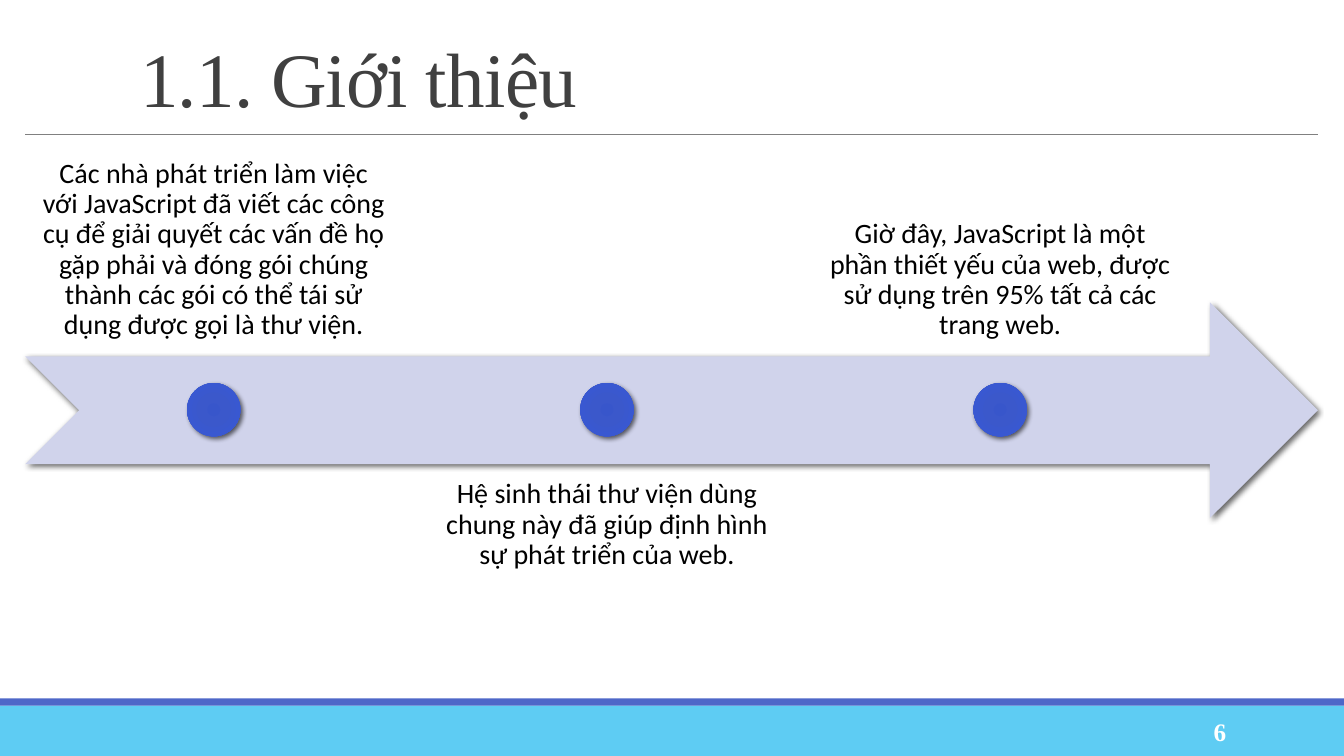
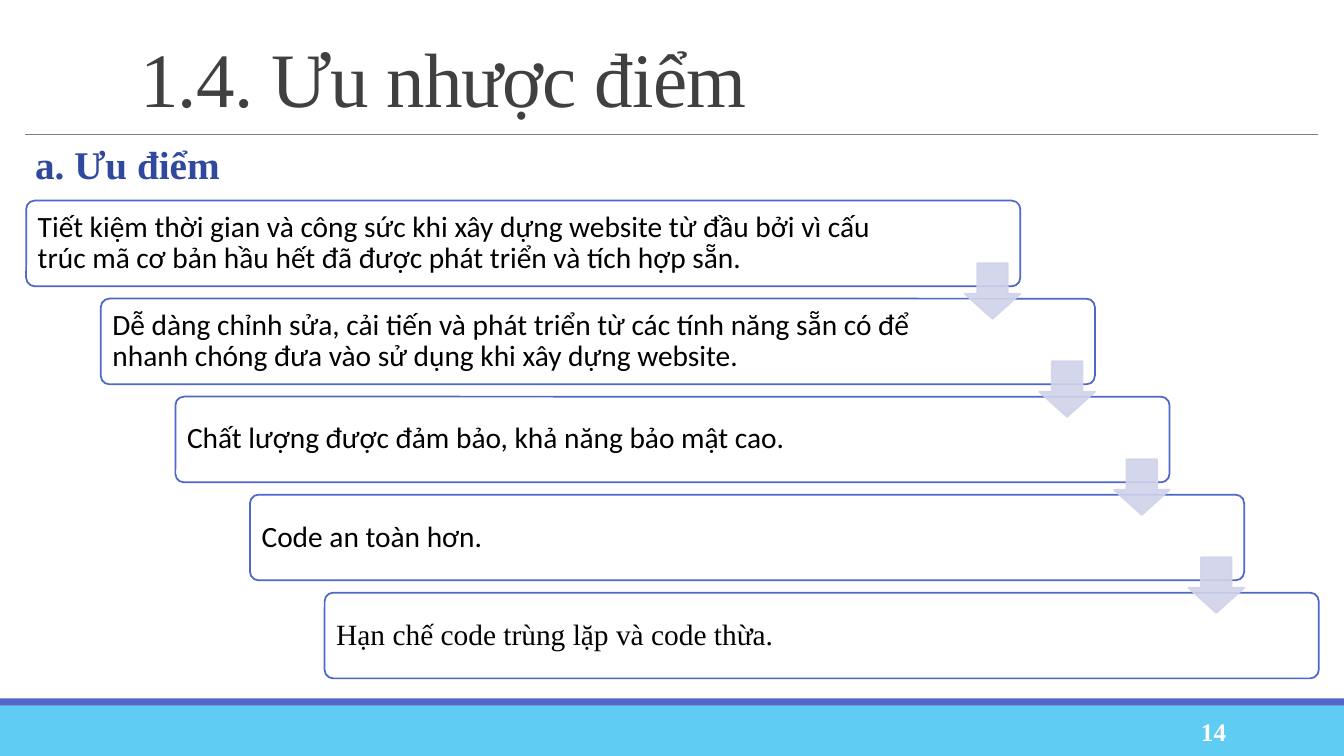
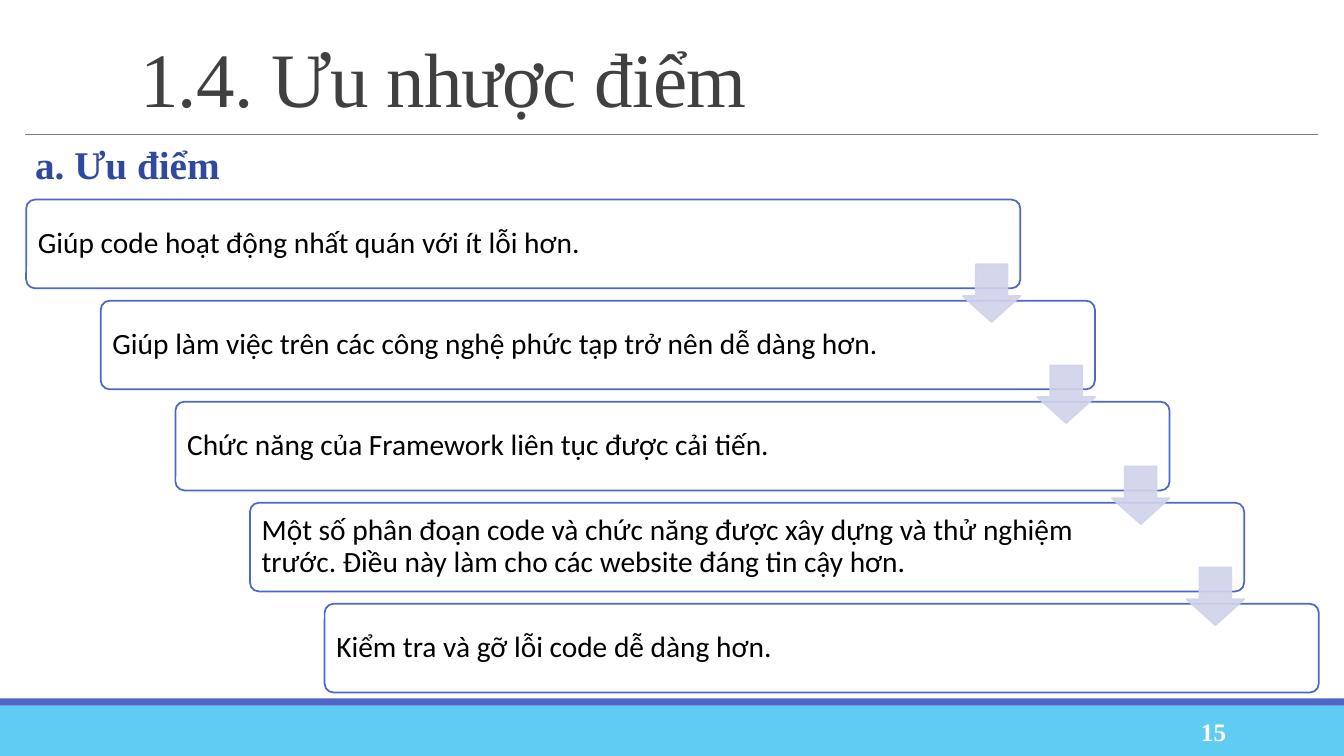
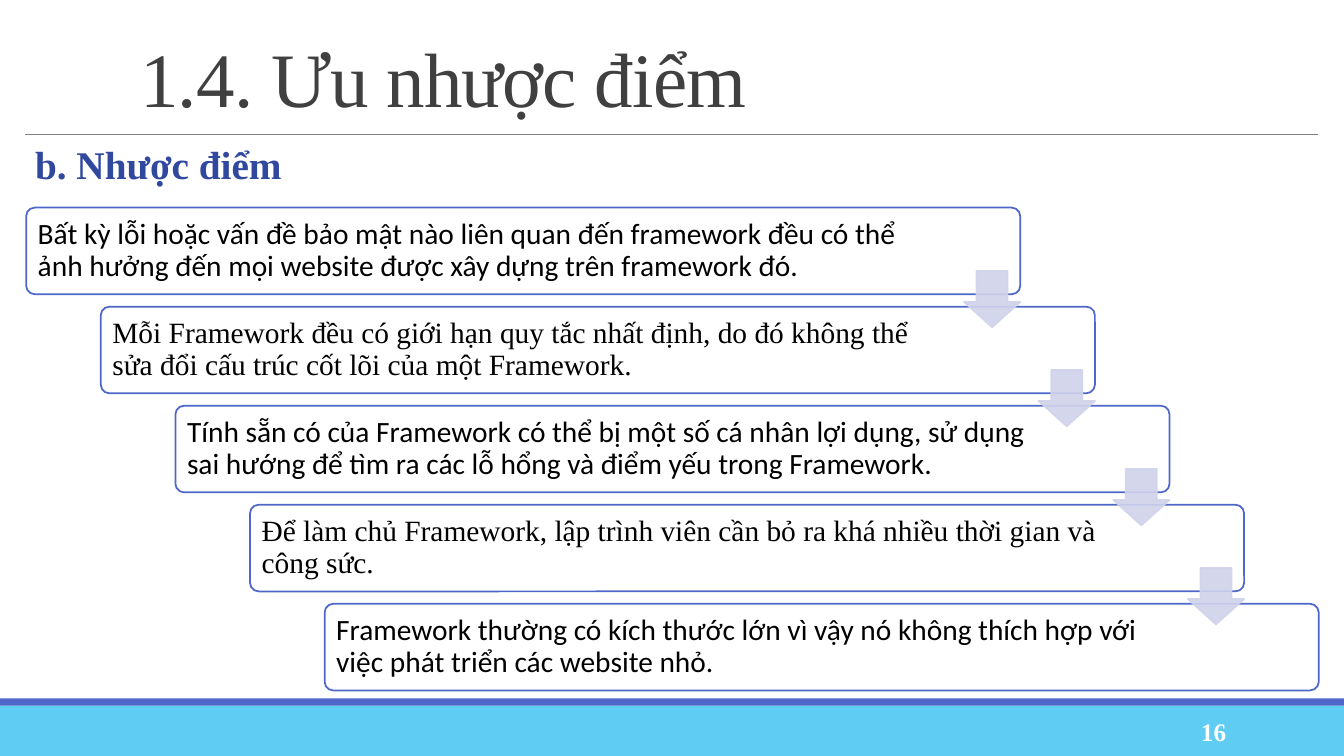
"""Build four lesson slides: a timeline and three staircases of pros and cons."""
from dataclasses import dataclass

from lxml.etree import SubElement
from pptx import Presentation
from pptx.dml.color import RGBColor
from pptx.enum.shapes import MSO_CONNECTOR, MSO_SHAPE
from pptx.enum.text import MSO_ANCHOR as Anchor, PP_ALIGN as Align
from pptx.oxml import parse_xml
from pptx.oxml.ns import nsdecls, qn
from pptx.util import Inches, Pt

COLORS = {
    "sky": "5ECCF3",
    "indigo": "4E67C8",
    "rule": "808080",
    "title": "404040",
    "heading": "31489F",
    "lavender": "D0D3EB",
    "black": "000000",
    "white": "FFFFFF",
}
DOT_STOPS = ((0, "3856CB"), (34, "3B58CB"), (70, "3958D1"), (100, "4863CE"))
SERIF, SANS = "Times New Roman", "Calibri"
SLIDE_W, SLIDE_H = 13.33, 7.5
MARGIN, CONTENT_W = 0.25, 12.82


@dataclass(frozen=True)
class Box:
    left: float
    top: float
    width: float
    height: float

    def inches(self):
        return tuple(Inches(v) for v in (self.left, self.top, self.width, self.height))


@dataclass(frozen=True)
class Style:
    size: float
    font: str = SANS
    color: str = "black"
    bold: bool = False
    align: Align = Align.LEFT
    anchor: Anchor = Anchor.TOP
    insets: tuple[float, float, float, float] = (0.1, 0.05, 0.1, 0.05)
    line_spacing: float = 0.9


@dataclass(frozen=True)
class Milestone:
    text: str
    above: bool


@dataclass(frozen=True)
class Step:
    text: str
    font: str = SANS


@dataclass(frozen=True)
class Staircase:
    number: int
    heading: str
    first_top: float
    last_top: float
    height: float
    steps: tuple[Step, ...]


TITLE = Style(55, SERIF, "title", anchor=Anchor.BOTTOM, line_spacing=0.85)
HEADING = Style(28, SERIF, "heading", bold=True)
PAGE_NUMBER = Style(18, SERIF, "white", bold=True, align=Align.RIGHT,
                    anchor=Anchor.MIDDLE, line_spacing=1.0)

MILESTONES = (
    Milestone("Các nhà phát triển làm việc với JavaScript đã viết các công cụ để giải quyết "
              "các vấn đề họ gặp phải và đóng gói chúng thành các gói có thể tái sử dụng "
              "được gọi là thư viện.", above=True),
    Milestone("Hệ sinh thái thư viện dùng chung này đã giúp định hình sự phát triển của web.",
              above=False),
    Milestone("Giờ đây, JavaScript là một phần thiết yếu của web, được sử dụng trên 95% "
              "tất cả các trang web.", above=True),
)

STAIRCASES = (
    Staircase(14, "a. Ưu điểm", 1.99, 5.88, 0.85, (
        Step("Tiết kiệm thời gian và công sức khi xây dựng website từ đầu bởi vì cấu trúc "
             "mã cơ bản hầu hết đã được phát triển và tích hợp sẵn."),
        Step("Dễ dàng chỉnh sửa, cải tiến và phát triển từ các tính năng sẵn có để nhanh "
             "chóng đưa vào sử dụng khi xây dựng website."),
        Step("Chất lượng được đảm bảo, khả năng bảo mật cao."),
        Step("Code an toàn hơn."),
        Step("Hạn chế code trùng lặp và code thừa.", SERIF),
    )),
    Staircase(15, "a. Ưu điểm", 1.98, 5.99, 0.88, (
        Step("Giúp code hoạt động nhất quán với ít lỗi hơn."),
        Step("Giúp làm việc trên các công nghệ phức tạp trở nên dễ dàng hơn."),
        Step("Chức năng của Framework liên tục được cải tiến."),
        Step("Một số phân đoạn code và chức năng được xây dựng và thử nghiệm trước. "
             "Điều này làm cho các website đáng tin cậy hơn."),
        Step("Kiểm tra và gỡ lỗi code dễ dàng hơn."),
    )),
    Staircase(16, "b. Nhược điểm", 2.06, 5.99, 0.86, (
        Step("Bất kỳ lỗi hoặc vấn đề bảo mật nào liên quan đến framework đều có thể ảnh "
             "hưởng đến mọi website được xây dựng trên framework đó."),
        Step("Mỗi Framework đều có giới hạn quy tắc nhất định, do đó không thể sửa đổi "
             "cấu trúc cốt lõi của một Framework.", SERIF),
        Step("Tính sẵn có của Framework có thể bị một số cá nhân lợi dụng, sử dụng sai "
             "hướng để tìm ra các lỗ hổng và điểm yếu trong Framework."),
        Step("Để làm chủ Framework, lập trình viên cần bỏ ra khá nhiều thời gian và công "
             "sức.", SERIF),
        Step("Framework thường có kích thước lớn vì vậy nó không thích hợp với việc phát "
             "triển các website nhỏ."),
    )),
)


def rgb(name: str) -> RGBColor:
    return RGBColor.from_string(COLORS[name])


def write(shape, text: str, style: Style):
    frame = shape.text_frame
    frame.text = text
    frame.word_wrap = True
    frame.vertical_anchor = style.anchor
    (frame.margin_left, frame.margin_top,
     frame.margin_right, frame.margin_bottom) = (Inches(v) for v in style.insets)
    paragraph = frame.paragraphs[0]
    paragraph.alignment = style.align
    paragraph.line_spacing = style.line_spacing
    run = paragraph.runs[0]
    run.font.size = Pt(style.size)
    run.font.name = style.font
    run.font.bold = style.bold
    run.font.color.rgb = rgb(style.color)
    return run


def add_text(slide, box: Box, text: str, style: Style):
    return write(slide.shapes.add_textbox(*box.inches()), text, style)


def add_shape(slide, kind: MSO_SHAPE, box: Box, fill: str,
              line: str | None = None, adjustments: tuple[float, ...] = ()):
    shape = slide.shapes.add_shape(kind, *box.inches())
    shape.shadow.inherit = False
    shape.fill.solid()
    shape.fill.fore_color.rgb = rgb(fill)
    if line:
        shape.line.color.rgb = rgb(line)
        shape.line.width = Pt(1.25)
    else:
        shape.line.fill.background()
    for index, value in enumerate(adjustments):
        shape.adjustments[index] = value
    return shape


def cast_shadow(shape, blur: float) -> None:
    effects = shape._element.spPr.find(qn("a:effectLst"))
    effects.append(parse_xml(
        f'<a:outerShdw {nsdecls("a")} blurRad="{Pt(blur)}" dist="{Pt(2)}" dir="2700000" '
        f'algn="tl" rotWithShape="0"><a:srgbClr val="{COLORS["black"]}">'
        '<a:alpha val="60000"/></a:srgbClr></a:outerShdw>'))


def fill_radial(shape, stops: tuple[tuple[int, str], ...]) -> None:
    stop_list = "".join(f'<a:gs pos="{pos * 1000}"><a:srgbClr val="{color}"/></a:gs>'
                        for pos, color in stops)
    gradient = parse_xml(
        f'<a:gradFill {nsdecls("a")} rotWithShape="1"><a:gsLst>{stop_list}</a:gsLst>'
        '<a:path path="circle"><a:fillToRect l="100000" t="100000" r="100000" b="100000"/>'
        '</a:path></a:gradFill>')
    properties = shape._element.spPr
    properties.replace(properties.find(qn("a:solidFill")), gradient)


def set_opacity(shape, percent: int) -> None:
    for color in shape._element.spPr.iter(qn("a:srgbClr")):
        SubElement(color, qn("a:alpha")).set("val", str(percent * 1000))


def add_frame(deck, title: str, number: int):
    slide = deck.slides.add_slide(deck.slide_layouts[6])
    add_shape(slide, MSO_SHAPE.RECTANGLE, Box(0, 7, SLIDE_W, 0.5), "sky")
    add_shape(slide, MSO_SHAPE.RECTANGLE, Box(0, 6.93, SLIDE_W, 0.07), "indigo")
    rule = slide.shapes.add_connector(MSO_CONNECTOR.STRAIGHT, Inches(MARGIN), Inches(1.33),
                                      Inches(MARGIN + CONTENT_W), Inches(1.33))
    rule.line.color.rgb = rgb("rule")
    rule.line.width = Pt(0.5)
    SubElement(rule._element.spPr, qn("a:effectLst"))
    heading = add_text(slide, Box(1.29, 0.31, 11.78, 0.96), title, TITLE)
    heading.font._element.set("spc", "-50")
    add_text(slide, Box(10.83, 7.06, 1.43, 0.4), str(number), PAGE_NUMBER)
    return slide


def add_timeline(deck) -> None:
    slide = add_frame(deck, "1.1. Giới thiệu", 6)
    band = add_shape(slide, MSO_SHAPE.NOTCHED_RIGHT_ARROW,
                     Box(MARGIN, 3, CONTENT_W, 2.14), "lavender")
    cast_shadow(band, 3)
    width, pitch, dot_size = 3.72, 3.9, 0.53
    for index, milestone in enumerate(MILESTONES):
        left = 0.26 + index * pitch
        style = Style(20, align=Align.CENTER, insets=(0.16,) * 4,
                      anchor=Anchor.BOTTOM if milestone.above else Anchor.TOP)
        top = 1.4 if milestone.above else 4.6
        add_text(slide, Box(left, top, width, 2.14), milestone.text, style)
        dot = add_shape(slide, MSO_SHAPE.OVAL,
                        Box(left + (width - dot_size) / 2, 3.8, dot_size, dot_size), "indigo")
        fill_radial(dot, DOT_STOPS)
        cast_shadow(dot, 3.5)


def add_staircase(deck, stairs: Staircase) -> None:
    slide = add_frame(deck, "1.4. Ưu nhược điểm", stairs.number)
    add_text(slide, Box(MARGIN, 1.4, CONTENT_W, 0.55), stairs.heading, HEADING)
    pitch = (stairs.last_top - stairs.first_top) / (len(stairs.steps) - 1)
    boxes = [Box(0.26 + index * 0.74, stairs.first_top + index * pitch, 9.86, stairs.height)
             for index in range(len(stairs.steps))]
    for index, (box, step) in enumerate(zip(boxes, stairs.steps)):
        right_inset = 1.38 if index else 1.06
        card = add_shape(slide, MSO_SHAPE.ROUNDED_RECTANGLE, box, "white", "indigo", (0.1,))
        write(card, step.text, Style(21, step.font, anchor=Anchor.MIDDLE,
                                     insets=(0.09, 0.09, right_inset, 0.09)))
    size = stairs.height * 0.65
    for box in boxes[:-1]:
        place = Box(box.left + box.width - size, box.top + 0.73 * box.height, size, size)
        arrow = add_shape(slide, MSO_SHAPE.DOWN_ARROW, place, "lavender", "lavender",
                          (0.55, 0.45))
        set_opacity(arrow, 90)


def main() -> None:
    deck = Presentation()
    deck.slide_width, deck.slide_height = Inches(SLIDE_W), Inches(SLIDE_H)
    add_timeline(deck)
    for stairs in STAIRCASES:
        add_staircase(deck, stairs)
    deck.save("out.pptx")


if __name__ == "__main__":
    main()
